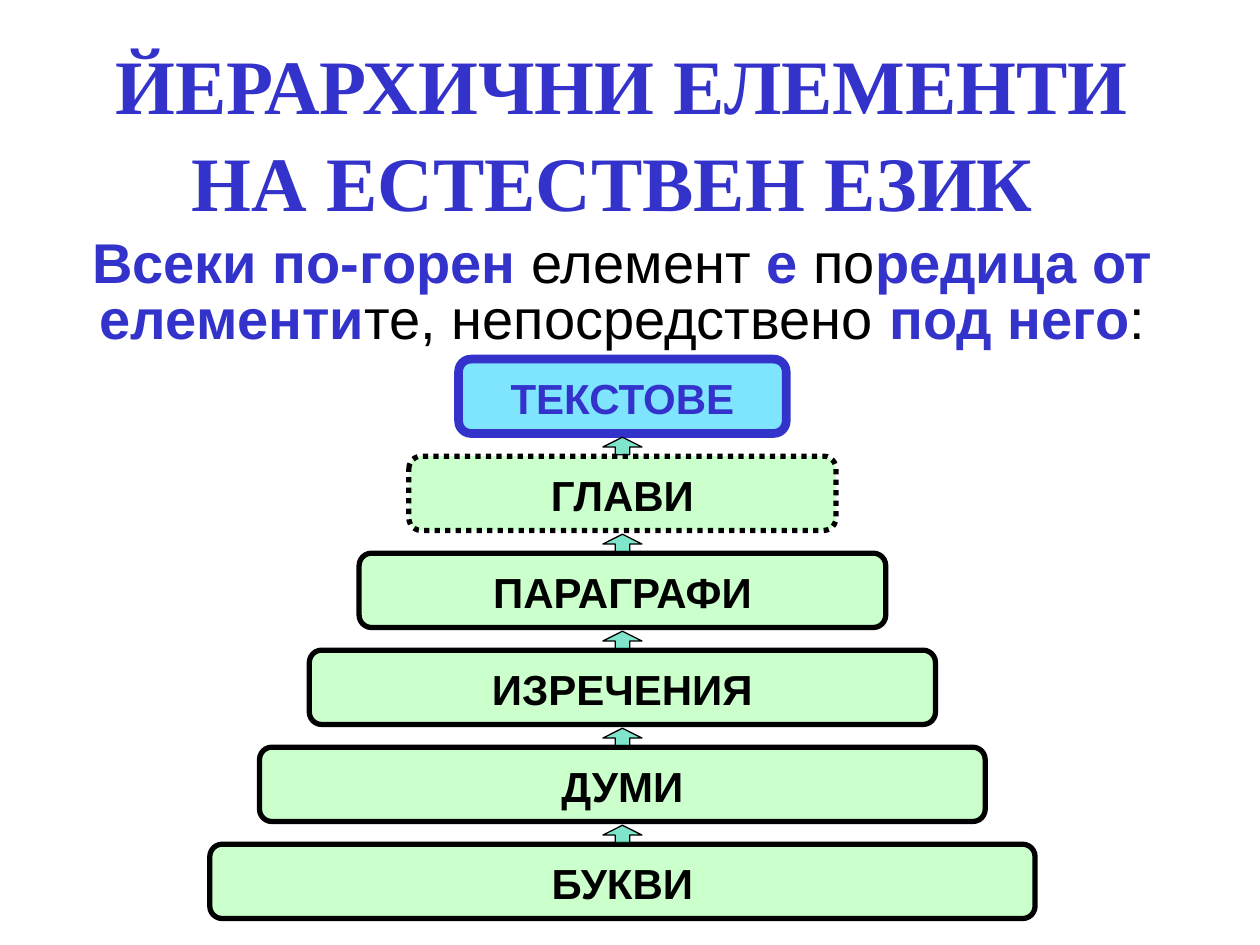
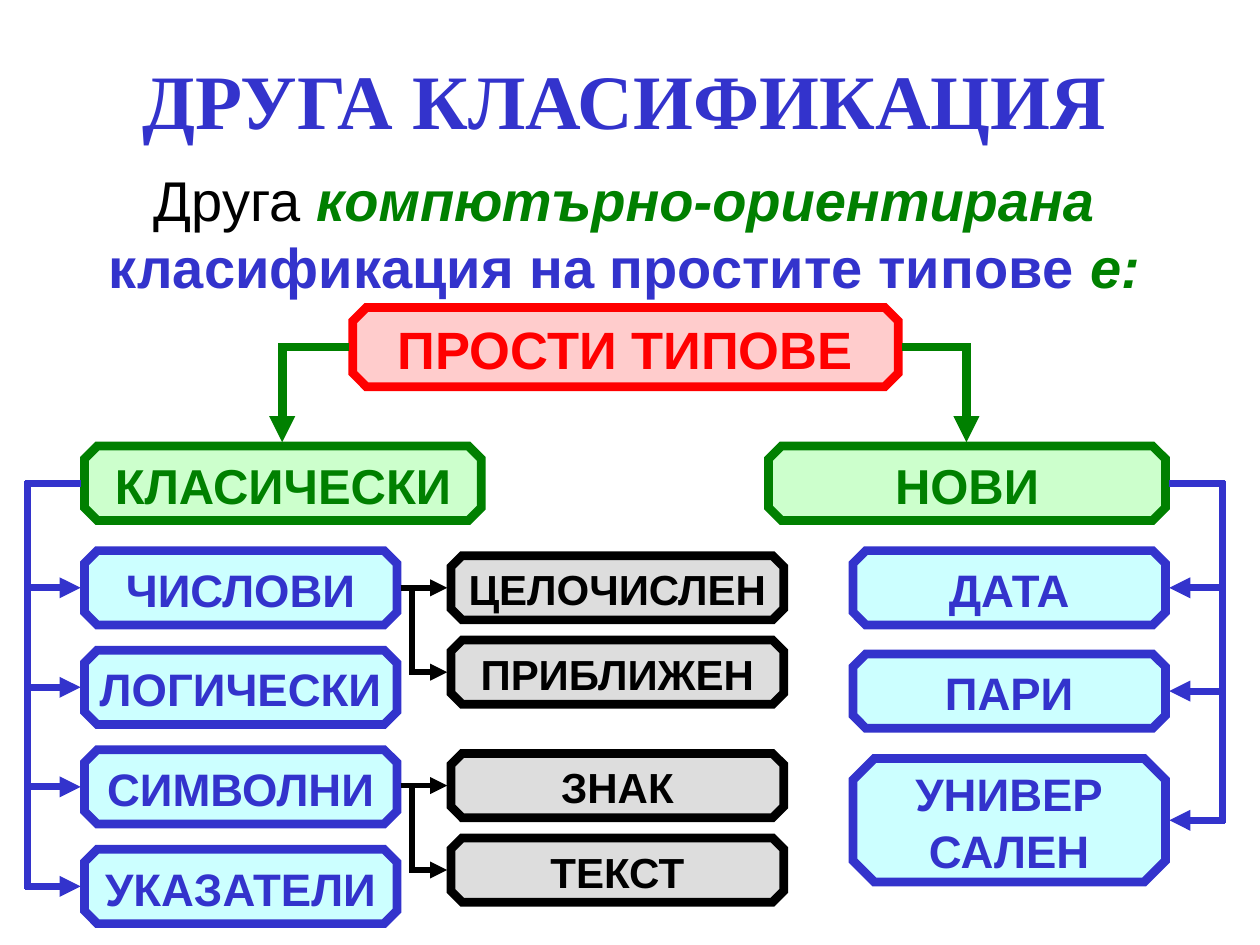
from itertools import pairwise

from lxml.etree import SubElement
from pptx import Presentation
from pptx.dml.color import RGBColor
from pptx.enum.dml import MSO_LINE
from pptx.enum.shapes import MSO_CONNECTOR as CONN, MSO_SHAPE as SHAPE
from pptx.enum.text import MSO_ANCHOR as ANCHOR, MSO_AUTO_SIZE as AUTO, PP_ALIGN as ALIGN
from pptx.oxml.ns import qn
from pptx.util import Inches, Pt

BLUE, GREEN, RED, BLACK = "3333CC", "008000", "FF0000", "000000"
MINT, SKY, TEAL = "99FF99", "00CCFF", "00CC99"
PALE_BLUE, PALE_GREEN, PALE_RED, GREY = "CCFFFF", "CCFFCC", "FFCCCC", "DDDDDD"
HEAD_FONT, BODY_FONT = "Times New Roman", "Arial"
LEADING = 1.05
GAP = 0.03  # between a connector's end and its box


def rgb(color):
    return RGBColor.from_string(color)


def add_run(p, text, size, color, bold=True, italic=False, font=BODY_FONT):
    r = p.add_run()
    r.text = text
    f = r.font
    f.name, f.size, f.bold, f.italic = font, Pt(size), bold, italic
    f.color.rgb = rgb(color)


def place(sp, left, top, width, height):
    sp.left, sp.top = Inches(left), Inches(top)
    sp.width, sp.height = Inches(width), Inches(height)


def add_slide(prs, title, title_box, body, body_box, body_leading):
    """Add a slide with a title and a lead sentence of (text, color, bold, italic) runs."""
    s = prs.slides.add_slide(prs.slide_layouts[1])
    sp = s.shapes.title
    place(sp, *title_box)
    tf = sp.text_frame
    tf.auto_size, tf.vertical_anchor = AUTO.NONE, ANCHOR.MIDDLE
    tf.margin_top = Inches(0.11)
    p = tf.paragraphs[0]
    p.alignment, p.line_spacing = ALIGN.CENTER, LEADING
    add_run(p, title, 44, BLUE, font=HEAD_FONT)

    sp = s.placeholders[1]
    place(sp, *body_box)
    tf = sp.text_frame
    tf.auto_size = AUTO.NONE
    p = tf.paragraphs[0]
    p.alignment, p.line_spacing, p.space_before = ALIGN.CENTER, body_leading, Pt(0)
    pPr = p._p.get_or_add_pPr()
    pPr.set("marL", "0")
    pPr.set("indent", "0")
    SubElement(pPr, qn("a:buNone"))
    for text, color, bold, italic in body:
        add_run(p, text, 32, color, bold, italic)
    return s


def add_box(s, kind, box, fill, line, weight, adjust, alpha=None):
    sp = s.shapes.add_shape(kind, *map(Inches, box))
    sp.shadow.inherit = False
    for i, value in enumerate(adjust):
        sp.adjustments[i] = value
    sp.fill.solid()
    sp.fill.fore_color.rgb = rgb(fill)
    if alpha:
        clr = sp.element.spPr.find(qn("a:solidFill"))[0]
        SubElement(clr, qn("a:alpha"), val=str(alpha * 1000))
    sp.line.color.rgb = rgb(line)
    sp.line.width = Pt(weight)
    return sp


def label(sp, text, size, color):
    tf = sp.text_frame
    tf.word_wrap, tf.vertical_anchor = True, ANCHOR.MIDDLE
    tf.margin_left = tf.margin_right = Inches(0.02)
    p = tf.paragraphs[0]
    p.alignment, p.line_spacing = ALIGN.CENTER, LEADING
    for i, part in enumerate(text.split("\n")):
        if i:
            p.add_line_break()
        add_run(p, part, size, color)


def add_pyramid(s, center, top, tiers):
    """Stack tiers that widen downwards, with an arrow up between neighbours."""
    step, height = 0.77, 0.59
    for i, (text, fill, color, weight, dash) in enumerate(tiers):
        width = 2.6 + 0.79 * i
        y = top + step * i
        sp = add_box(s, SHAPE.ROUNDED_RECTANGLE, (center - width / 2, y, width, height),
                     fill, color, weight, [0.167], alpha=50)
        if dash:
            sp.line.dash_style = dash
        label(sp, text, 24, color)
    for i in range(len(tiers) - 1):
        add_box(s, SHAPE.UP_ARROW, (center - 0.155, top + step * i + height + 0.03, 0.31, 0.14),
                TEAL, BLACK, 0.75, [0.37, 0.557], alpha=50)


def add_node(s, text, box, fill, color, size):
    sp = add_box(s, SHAPE.OCTAGON, box, fill, color, 5, [0.173])
    SubElement(sp.line._get_or_add_ln(), qn("a:miter"), lim="800000")
    label(sp, text, size, color)


def add_link(s, start, end, color, weight, arrow=True, bend=None):
    """Join two points: straight, by one corner ("corner"), or by a step at share bend."""
    kind = CONN.ELBOW if bend else CONN.STRAIGHT
    cx = s.shapes.add_connector(kind, *map(Inches, (*start, *end)))
    cx.line.color.rgb = rgb(color)
    cx.line.width = Pt(weight)
    spPr = cx.element.spPr
    geom = spPr.find(qn("a:prstGeom"))
    if bend == "corner":
        geom.set("prst", "bentConnector2")
    elif bend:
        SubElement(geom.find(qn("a:avLst")), qn("a:gd"),
                   name="adj1", fmla=f"val {round(bend * 100000)}")
    ln = cx.line._get_or_add_ln()
    SubElement(ln, qn("a:miter"), lim="800000")
    if arrow:
        SubElement(ln, qn("a:tailEnd"), type="triangle")
    SubElement(spPr, qn("a:effectLst"))


def add_rail(s, rail_x, box_x, stops):
    """Run a rail from the first stop (the parent) with an arrow at each later stop."""
    half = 0.02
    outer = rail_x + (half if rail_x > box_x else -half)
    for upper, lower in pairwise(stops):
        add_link(s, (rail_x, upper - half), (rail_x, lower + half), BLUE, 4, arrow=False)
    for i, y in enumerate(stops):
        add_link(s, (outer, y), (box_x, y), BLUE, 4, arrow=i > 0)


def add_root(s, left, top, width, branch_xs, branch_top):
    height = 0.63
    add_node(s, "ПРОСТИ ТИПОВЕ", (left, top, width, height), PALE_RED, RED, 30)
    y = top + height / 2
    for start_x, x in zip((left - GAP, left + width + GAP), branch_xs):
        add_link(s, (start_x, y), (x, branch_top - GAP), GREEN, 5, bend="corner")


def add_branch(s, head, head_box, left, kinds, rail_x):
    """Place a branch heading and its kinds of (text, top, height), joined by a rail."""
    width = 2.48
    add_node(s, head, head_box, PALE_GREEN, GREEN, 28)
    stops = [head_box[1] + head_box[3] / 2]
    for text, top, height in kinds:
        add_node(s, text, (left, top, width, height), PALE_BLUE, BLUE, 26)
        stops.append(top + height / 2)
    box_x = left - GAP if rail_x < left else left + width + GAP
    add_rail(s, rail_x, box_x, stops)


def add_subtypes(s, left, top, names, from_x):
    """Place two subtypes, both reached from the parent level with the first."""
    height, step = 0.51, 0.67
    y = top + height / 2
    for i, text in enumerate(names):
        add_node(s, text, (left, top + step * i, 2.64, height), GREY, BLACK, 24)
        add_link(s, (from_x, y), (left - GAP, y + step * i), BLACK, 3.25,
                 bend=0.25 if i else None)


def hierarchy_slide(prs):
    lead = [("Всеки по-горен", BLUE, True, False), (" елемент ", BLACK, False, False),
            ("е", BLUE, True, False), (" по", BLACK, False, False),
            ("редица от елементи", BLUE, True, False),
            ("те, непосредствено ", BLACK, False, False),
            ("под него", BLUE, True, False), (":", BLACK, False, False)]
    s = add_slide(prs, "ЙЕРАРХИЧНИ ЕЛЕМЕНТИ НА ЕСТЕСТВЕН ЕЗИК ", (0.67, 0.25, 8.54, 1.5),
                  lead, (0.53, 1.84, 8.82, 1), 0.84)
    tiers = [("ТЕКСТОВЕ", SKY, BLUE, 5, None),
             ("ГЛАВИ", MINT, BLACK, 3, MSO_LINE.ROUND_DOT)]
    tiers += [(text, MINT, BLACK, 3, None)
              for text in ("ПАРАГРАФИ", "ИЗРЕЧЕНИЯ", "ДУМИ", "БУКВИ")]
    add_pyramid(s, 4.94, 2.85, tiers)


def classification_slide(prs):
    lead = [("Друга", BLACK, False, False), (" компютърно-ориентирана ", GREEN, True, True),
            ("класификация на простите типове ", BLUE, True, False), ("е:", GREEN, True, True)]
    s = add_slide(prs, "ДРУГА КЛАСИФИКАЦИЯ", (0.55, 0.3, 8.82, 0.87),
                  lead, (0.47, 1.26, 8.97, 1.14), 1.0)
    add_root(s, 2.8, 2.44, 4.33, (2.24, 7.67), 3.54)
    names = ("ЧИСЛОВИ", "ЛОГИЧЕСКИ", "СИМВОЛНИ", "УКАЗАТЕЛИ")
    classic = [(text, 4.37 + 0.79 * i, 0.59) for i, text in enumerate(names)]
    add_branch(s, "КЛАСИЧЕСКИ", (0.67, 3.54, 3.15, 0.59), 0.67, classic, 0.22)
    new = [("ДАТА", 4.37, 0.59), ("ПАРИ", 5.19, 0.59), ("УНИВЕР\nСАЛЕН", 6.02, 0.98)]
    add_branch(s, "НОВИ", (6.1, 3.54, 3.15, 0.59), 6.77, new, 9.7)
    add_subtypes(s, 3.58, 4.41, ("ЦЕЛОЧИСЛЕН", "ПРИБЛИЖЕН"), 3.18)
    add_subtypes(s, 3.58, 5.98, ("ЗНАК", "ТЕКСТ"), 3.18)


def main():
    prs = Presentation()
    prs.slide_width, prs.slide_height = Inches(10), Inches(7.5)
    hierarchy_slide(prs)
    classification_slide(prs)
    prs.save("out.pptx")


if __name__ == "__main__":
    main()
